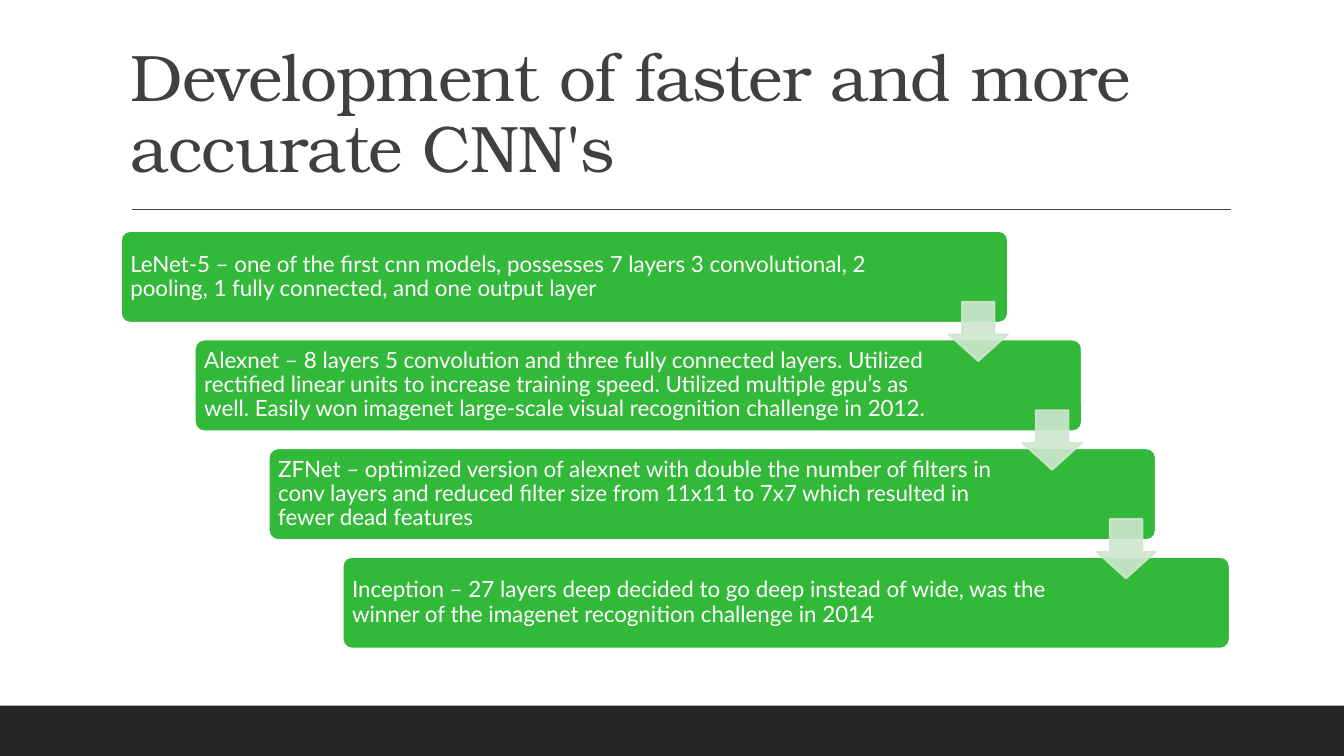
from lxml.etree import SubElement
from pptx import Presentation
from pptx.dml.color import RGBColor
from pptx.enum.shapes import MSO_CONNECTOR as Connector, MSO_SHAPE as Shape
from pptx.enum.text import MSO_ANCHOR as Anchor
from pptx.oxml.ns import qn
from pptx.util import Pt

# Content
TITLE = "Development of faster and more accurate CNN's"
MODELS = [
    "LeNet-5 – one of the first cnn models, possesses 7 layers 3 convolutional, "
    "2 pooling, 1 fully connected, and one output layer",
    "Alexnet – 8 layers 5 convolution and three fully connected layers. Utilized "
    "rectified linear units to increase training speed. Utilized multiple gpu’s as "
    "well. Easily won imagenet large-scale visual recognition challenge in 2012.",
    "ZFNet – optimized version of alexnet with double the number of filters in conv "
    "layers and reduced filter size from 11x11 to 7x7 which resulted in fewer dead "
    "features",
    "Inception – 27 layers deep decided to go deep instead of wide, was the winner "
    "of the imagenet recognition challenge in 2014",
]

# Colours and fonts
WHITE = RGBColor(0xFF, 0xFF, 0xFF)
DARK_GREY = RGBColor(0x40, 0x40, 0x40)
FOOTER_GREY = RGBColor(0x26, 0x26, 0x26)
GREEN = RGBColor(0x33, 0xB9, 0x39)
PALE_GREEN = RGBColor(0xCE, 0xE6, 0xCE)
TITLE_FONT, BODY_FONT = "TeX Gyre Bonum", "Lato"

# Layout in points
SLIDE_W, SLIDE_H = 960, 540
FOOTER_H = 36
STEP_LEFT, STEP_TOP, STEP_W, STEP_H = 86.4, 165, 633.6, 65.5
STEP_DX, STEP_DY = 52.8, 77.6
TEXT_PAD, FIRST_TEXT_W, TEXT_W = 1.9, 557.3, 534.5
ARROW_SIZE, ARROW_DY = 42.5, 50.5

prs = Presentation()
prs.slide_width, prs.slide_height = Pt(SLIDE_W), Pt(SLIDE_H)
slide = prs.slides.add_slide(prs.slide_layouts[6])
shapes = slide.shapes


def add_block(kind, left, top, width, height, color, outline=None, adjustments=()):
    block = shapes.add_shape(kind, Pt(left), Pt(top), Pt(width), Pt(height))
    block.shadow.inherit = False
    block.fill.solid()
    block.fill.fore_color.rgb = color
    if outline is None:
        block.line.fill.background()
    else:
        block.line.color.rgb = outline
        block.line.width = Pt(1.25)
    for index, value in enumerate(adjustments):
        block.adjustments[index] = value
    return block


def add_text(text, left, top, width, height, font, size, color, anchor, inset=None):
    frame = shapes.add_textbox(Pt(left), Pt(top), Pt(width), Pt(height)).text_frame
    frame.word_wrap = True
    frame.vertical_anchor = anchor
    if inset is not None:
        frame.margin_left = frame.margin_right = Pt(inset)
        frame.margin_top = frame.margin_bottom = Pt(inset)
    frame.text = text
    paragraph = frame.paragraphs[0]
    paragraph.line_spacing = 0.9
    run = paragraph.runs[0]
    run.font.name, run.font.size, run.font.color.rgb = font, Pt(size), color
    return run


# Title, rule and footer band
title = add_text(TITLE, 86.4, 22.6, 792, 114.4, TITLE_FONT, 47, DARK_GREY, Anchor.BOTTOM)
title.font._element.set("spc", "-50")

rule = shapes.add_connector(Connector.STRAIGHT, Pt(94.3), Pt(149.5), Pt(879), Pt(149.5))
rule.line.color.rgb = DARK_GREY
rule.line.width = Pt(1)
SubElement(rule._element.spPr, qn("a:effectLst"))

add_block(Shape.RECTANGLE, 0, SLIDE_H - FOOTER_H, SLIDE_W, FOOTER_H, FOOTER_GREY)

# Staircase of models
steps = [(STEP_LEFT + i * STEP_DX, STEP_TOP + i * STEP_DY) for i in range(len(MODELS))]
for i, (model, (left, top)) in enumerate(zip(MODELS, steps)):
    add_block(Shape.ROUNDED_RECTANGLE, left, top, STEP_W, STEP_H, GREEN, WHITE, [0.1])
    add_text(model, left + TEXT_PAD, top + TEXT_PAD, TEXT_W if i else FIRST_TEXT_W,
             STEP_H - 2 * TEXT_PAD, BODY_FONT, 16, WHITE, Anchor.MIDDLE, 4.8)

# Translucent arrows from each step to the next
for left, top in steps[:-1]:
    arrow = add_block(Shape.DOWN_ARROW, left + STEP_W - ARROW_SIZE, top + ARROW_DY,
                      ARROW_SIZE, ARROW_SIZE, PALE_GREEN, PALE_GREEN, [0.55, 0.45])
    for tint in arrow._element.spPr.iter(qn("a:srgbClr")):
        SubElement(tint, qn("a:alpha"), val="90000")

prs.save("out.pptx")
